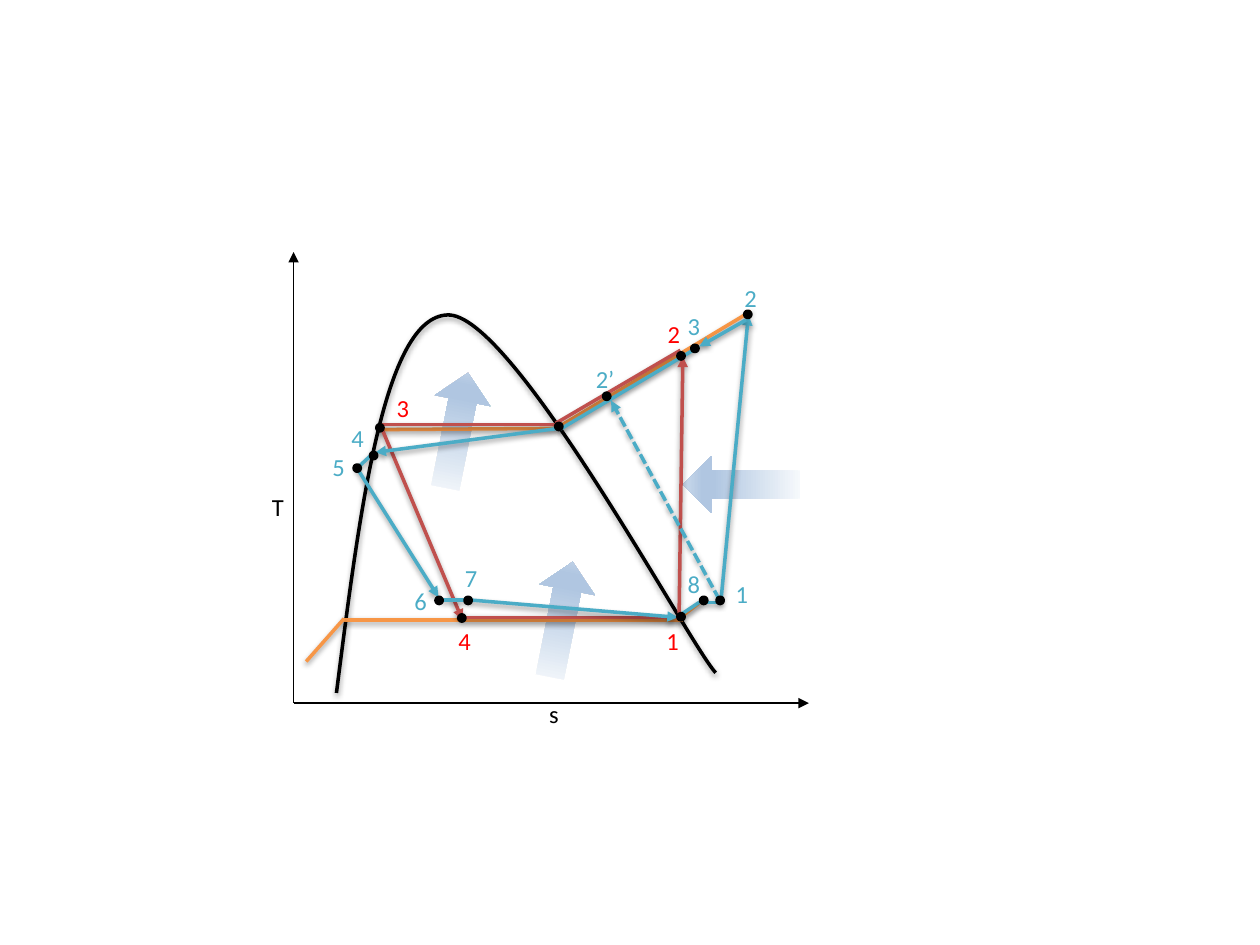
from lxml import etree
from pptx import Presentation
from pptx.dml.color import RGBColor
from pptx.enum.dml import MSO_LINE
from pptx.enum.shapes import MSO_CONNECTOR, MSO_SHAPE
from pptx.enum.text import MSO_AUTO_SIZE
from pptx.oxml import parse_xml
from pptx.oxml.ns import nsdecls, qn
from pptx.util import Pt

SCALE = 9144  # EMU per px, 100 px to the inch


class Theme:
    black, red, blue = "000000", "FF0000", "4BACC6"
    brick, orange = "C0504D", "F79646"
    fade = [(0, "F6F9FC"), (74, "B0C6E1"), (83, "B0C6E1"), (100, "CAD9EB")]
    font, size = "Calibri", 14
    thin, thick = 0.75, 2


# Content: all coordinates in px
BLOCK_SIZE = (93, 45)
BLOCK_ARROWS = [(399, 469, 281.2), (542, 362, 180), (316, 319, 281.2)]

DOME_START = (267, 550)
DOME_CURVES = [
    [(286, 401), (305, 252), (355, 250)],
    [(406, 247), (546, 510), (568, 534)],
]

AXES = [(233, 558, 233, 200), (233, 558, 642, 558)]

# Cycle lines: colour, ends, style ("" plain, "arrow", "dash" with arrow)
CYCLES = [
    (Theme.orange, [
        (272, 492, 542, 492, ""), (300, 341, 441, 340, ""), (443, 339, 596, 247, ""),
        (540, 490, 561, 474, ""), (243, 525, 273, 491, "")]),
    (Theme.brick, [
        (303, 340, 367, 492, "arrow"), (301, 337, 442, 337, ""),
        (367, 490, 542, 490, ""), (441, 336, 540, 278, "")]),
    (Theme.blue, [
        (572, 479, 594, 250, "arrow"), (444, 341, 555, 275, ""), (283, 372, 297, 359, ""),
        (283, 371, 348, 474, "arrow"), (371, 476, 538, 490, "arrow"),
        (592, 254, 555, 275, "arrow")]),
    (Theme.brick, [(539, 487, 542, 283, "arrow")]),
    (Theme.blue, [
        (350, 476, 373, 476, ""), (540, 488, 555, 478, ""), (555, 478, 573, 478, ""),
        (571, 476, 485, 318, "dash"), (443, 340, 298, 359, "arrow")]),
]

LABEL_HEIGHT = 34
LABELS = [  # colour, width, (text, left, top)
    (Theme.red, 25, [("2", 520, 248), ("1", 519, 492), ("3", 305, 307), ("4", 354, 492)]),
    (Theme.black, 33, [("T", 206, 386), ("s", 426, 550)]),
    (Theme.blue, 25, [
        ("2", 581, 220), ("1", 574, 455), ("3", 536, 242), ("4", 269, 331),
        ("5", 254, 354), ("6", 319, 460), ("7", 359, 442), ("8", 536, 447)]),
    (Theme.blue, 41, [("2’", 463, 284)]),
]

DOT = 5
DOTS = [
    (591, 247), (538, 280), (479, 312), (549, 274), (556, 474), (299, 337), (294, 359),
    (281, 369), (346, 474), (364, 488), (369, 474), (538, 487), (569, 474), (441, 336),
]


def px(*values):
    return [v * SCALE for v in values]


def rgb(color):
    return RGBColor.from_string(color)


def set_effects(sp, shadow):
    """Give a shape or connector the soft drop shadow, or none."""
    effects = etree.SubElement(sp._element.spPr, qn("a:effectLst"))
    if shadow:
        effects.append(parse_xml(
            f'<a:outerShdw {nsdecls("a")} blurRad="40000" dist="20000" dir="5400000" '
            f'rotWithShape="0"><a:srgbClr val="{Theme.black}"><a:alpha val="38000"/>'
            '</a:srgbClr></a:outerShdw>'))


def add_line(ends, color, width=Theme.thick, style="", shadow=True):
    line = slide.shapes.add_connector(MSO_CONNECTOR.STRAIGHT, *px(*ends))
    line.line.color.rgb = rgb(color)
    line.line.width = Pt(width)
    if style == "dash":
        line.line.dash_style = MSO_LINE.SQUARE_DOT
    if style:
        etree.SubElement(line.line._get_or_add_ln(), qn("a:tailEnd"), type="triangle")
    set_effects(line, shadow)


def add_label(text, left, top, width, color):
    box = slide.shapes.add_textbox(*px(left, top, width, LABEL_HEIGHT))
    tf = box.text_frame
    tf.word_wrap = True
    tf.auto_size = MSO_AUTO_SIZE.SHAPE_TO_FIT_TEXT
    r = tf.paragraphs[0].add_run()
    r.text = text
    r.font.name, r.font.size = Theme.font, Pt(Theme.size)
    r.font.color.rgb = rgb(color)


def add_block_arrow(left, top, rotation):
    sp = slide.shapes.add_shape(MSO_SHAPE.RIGHT_ARROW, *px(left, top, *BLOCK_SIZE))
    sp.rotation = rotation
    sp.shadow.inherit = False
    sp.line.fill.background()
    stops = "".join(f'<a:gs pos="{pos * 1000}"><a:srgbClr val="{color}"/></a:gs>'
                    for pos, color in Theme.fade)
    sp._element.spPr.find(qn("a:prstGeom")).addnext(parse_xml(
        f'<a:gradFill {nsdecls("a")} rotWithShape="1"><a:gsLst>{stops}</a:gsLst>'
        '<a:lin ang="0" scaled="0"/></a:gradFill>'))


def add_dome():
    """Saturation dome: a freeform whose segments become Bezier curves."""
    anchors = [curve[-1] for curve in DOME_CURVES]
    builder = slide.shapes.build_freeform(*DOME_START, scale=SCALE)
    builder.add_line_segments(anchors, close=False)
    sp = builder.convert_to_shape()
    left = min(x for x, _ in [DOME_START, *anchors])
    top = min(y for _, y in [DOME_START, *anchors])
    segments = list(sp._element.iter(qn("a:lnTo")))
    for segment, curve in zip(segments, DOME_CURVES):
        bezier = etree.Element(qn("a:cubicBezTo"))
        for x, y in curve:
            etree.SubElement(bezier, qn("a:pt"), x=str(x - left), y=str(y - top))
        segment.getparent().replace(segment, bezier)
    sp.fill.background()
    sp.line.color.rgb = rgb(Theme.black)
    sp.line.width = Pt(Theme.thick)
    set_effects(sp, True)


def add_dot(left, top):
    sp = slide.shapes.add_shape(MSO_SHAPE.OVAL, *px(left, top, DOT, DOT))
    sp.shadow.inherit = False
    sp.fill.solid()
    sp.fill.fore_color.rgb = sp.line.color.rgb = rgb(Theme.black)
    sp.line.width = Pt(Theme.thick)


prs = Presentation()
prs.slide_width, prs.slide_height = px(1000, 750)
slide = prs.slides.add_slide(prs.slide_layouts[6])

# Background arrows, dome and axes
for arrow in BLOCK_ARROWS:
    add_block_arrow(*arrow)
add_dome()
for axis in AXES:
    add_line(axis, Theme.black, Theme.thin, "arrow", shadow=False)

# Cycles, labels and state points
for color, lines in CYCLES:
    for *ends, style in lines:
        add_line(ends, color, style=style)
for color, width, labels in LABELS:
    for text, left, top in labels:
        add_label(text, left, top, width, color)
for dot in DOTS:
    add_dot(*dot)

prs.save("out.pptx")
